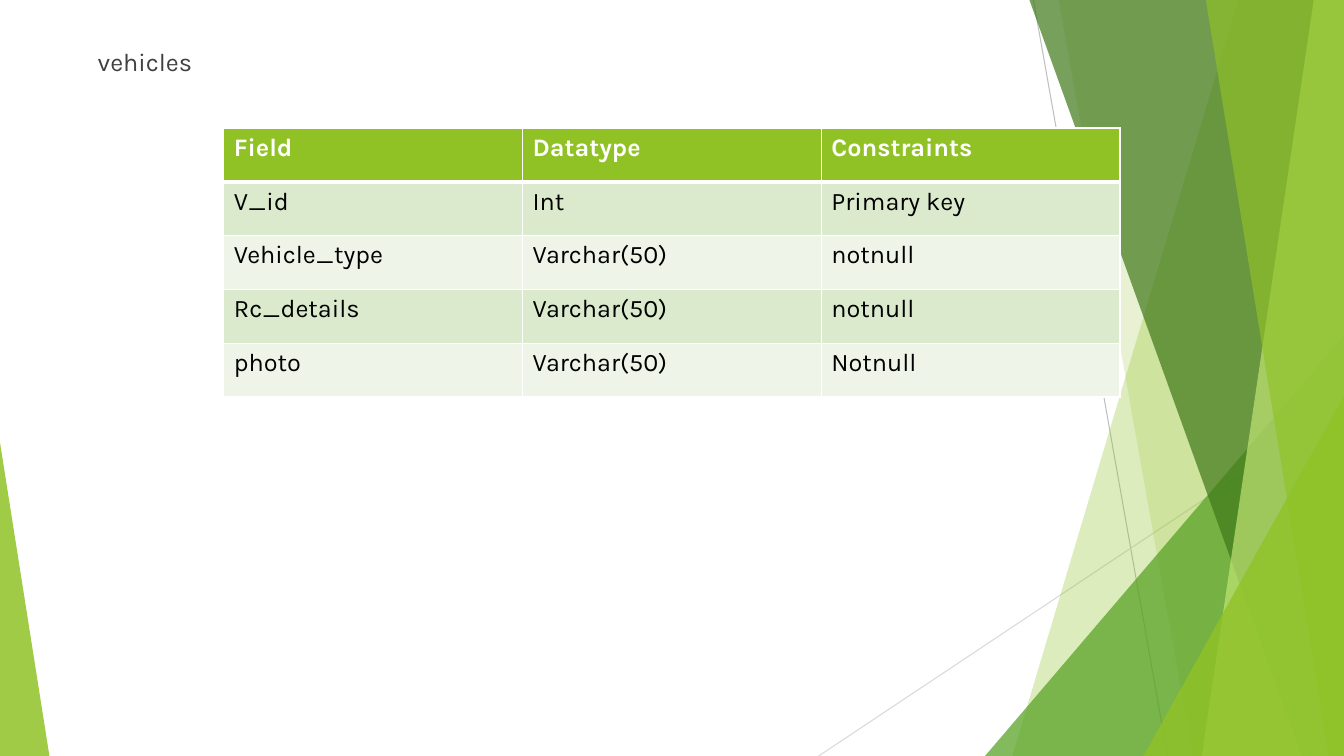
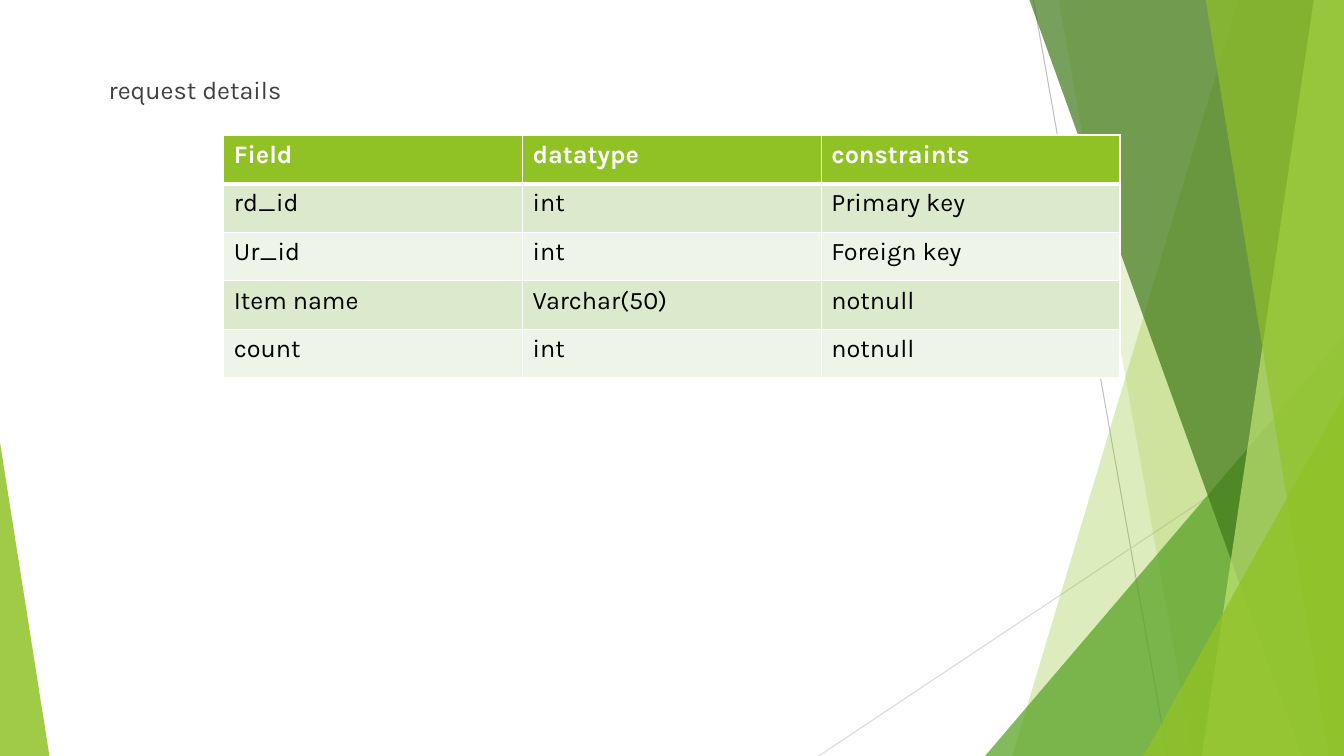
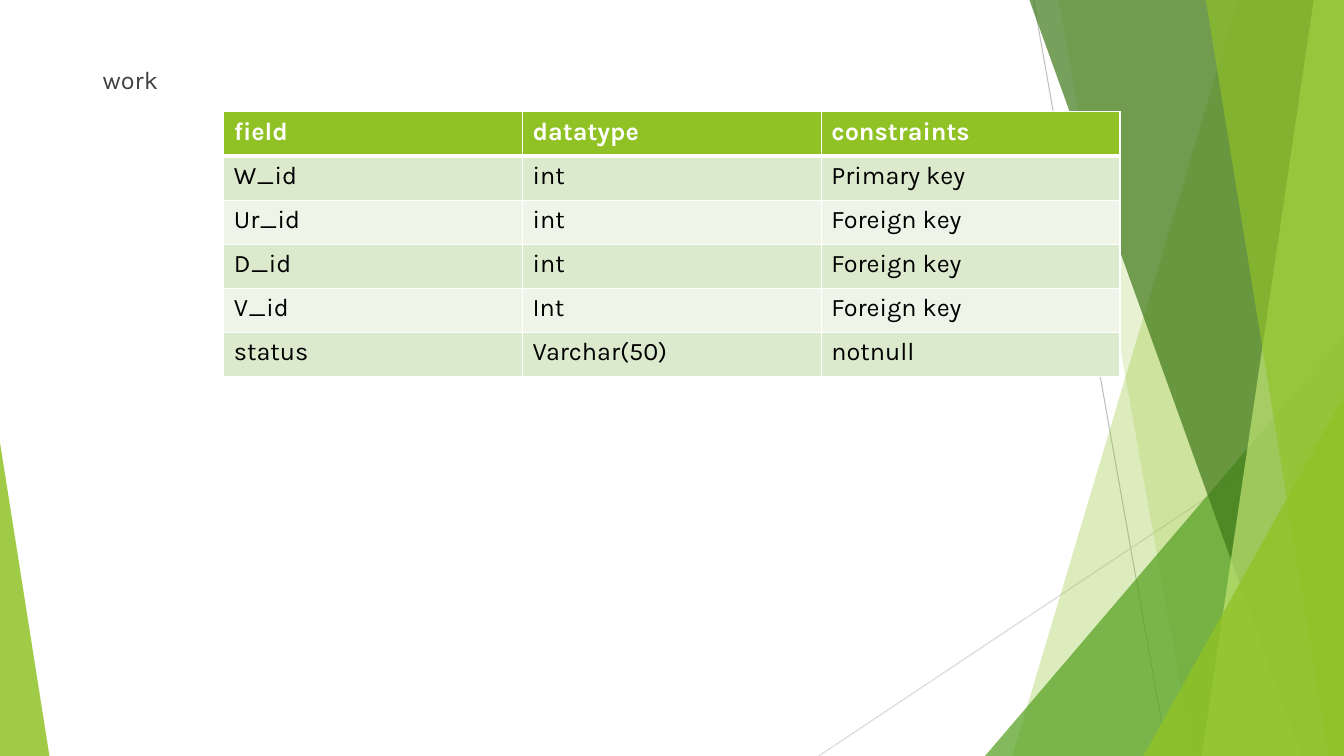
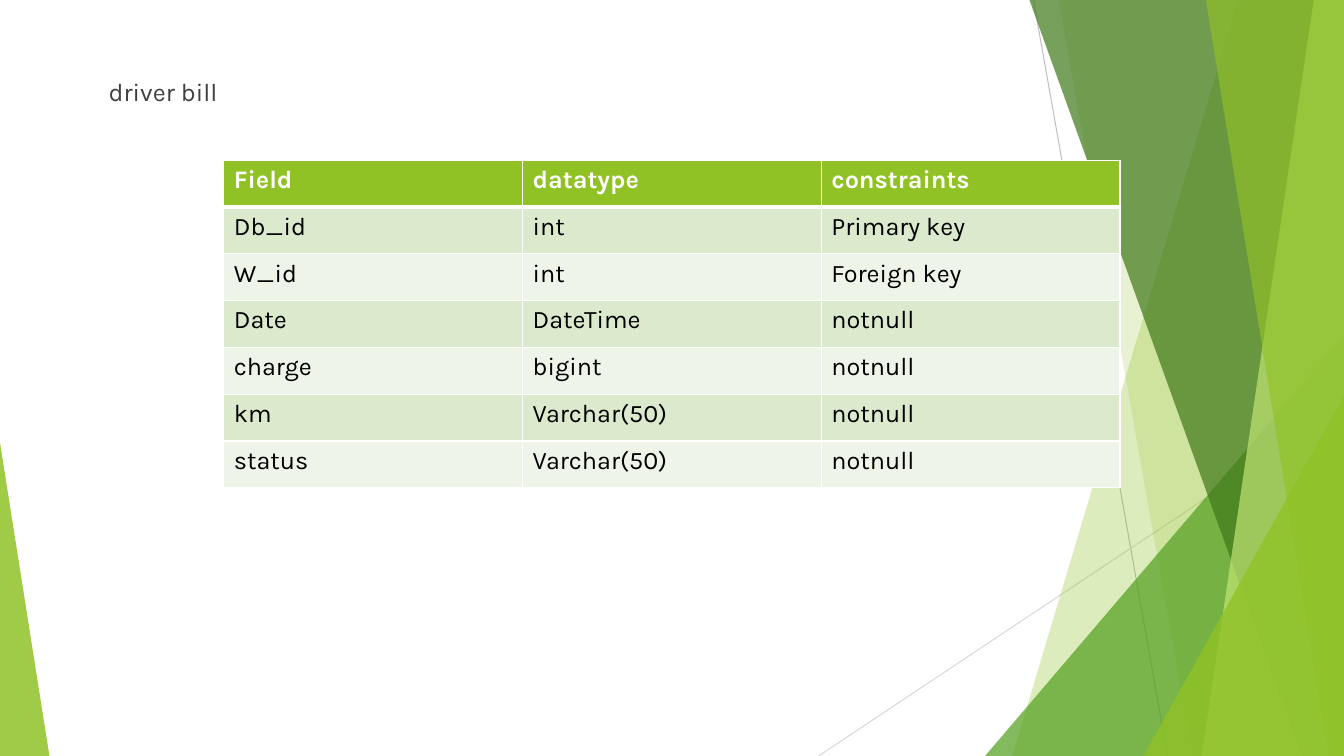
from lxml import etree
from pptx import Presentation
from pptx.dml.color import RGBColor
from pptx.enum.shapes import MSO_CONNECTOR, MSO_SHAPE
from pptx.oxml.ns import qn
from pptx.util import Inches, Pt

LINE = MSO_CONNECTOR.STRAIGHT
TRIANGLE = MSO_SHAPE.ISOSCELES_TRIANGLE
FONT = "Karla"
WIDE, HIGH = 13.33, 7.5
COLORS = {
    "lime": "90C226", "leaf": "54A021", "forest": "3F7819", "pale": "C0E474",
    "silver": "BFBFBF", "mist": "D9D9D9", "white": "FFFFFF", "ink": "404040",
    "black": "000000", "odd": "DBE9CD", "even": "EEF4E8",
}

RULES = [
    ((10.25, 0), (11.58, HIGH), "silver"),
    ((WIDE, 4.03), (8.12, HIGH), "mist"),
]
PANELS = [
    ("band", (12.28, 10.04), "lime", 30),
    ("band", (10.5, 11.83), "lime", 20),
    ("peak", (9.77, 3.33, 3.56, 1), "leaf", 72),
    ("band", (10.21, 12.91), "forest", 70),
    ("band", (13.03, 11.92), "pale", 70),
    ("band", (11.96, 13.18), "lime", 65),
    ("peak", (11.34, 3.93, 1.99, 1), "lime", 80),
    ("peak", (0, 4.39, 0.49, 0), "lime", 85),
]
SLIDES = [
    {"title": "vehicles", "at": (0.87, 0.41), "top": 1.27, "high": 2.67, "rows": [
        ("Field", "Datatype", "Constraints"),
        ("V_id", "Int", "Primary key"),
        ("Vehicle_type", "Varchar(50)", "notnull"),
        ("Rc_details", "Varchar(50)", "notnull"),
        ("photo", "Varchar(50)", "Notnull"),
    ]},
    {"title": "request details", "at": (0.98, 0.69), "top": 1.34, "high": 2.41, "rows": [
        ("Field", "datatype", "constraints"),
        ("rd_id", "int", "Primary key"),
        ("Ur_id", "int", "Foreign key"),
        ("Item name", "Varchar(50)", "notnull"),
        ("count", "int", "notnull"),
    ]},
    {"title": "work", "at": (0.92, 0.59), "top": 1.11, "high": 2.63, "rows": [
        ("field", "datatype", "constraints"),
        ("W_id", "int", "Primary key"),
        ("Ur_id", "int", "Foreign key"),
        ("D_id", "int", "Foreign key"),
        ("V_id", "Int", "Foreign key"),
        ("status", "Varchar(50)", "notnull"),
    ]},
    {"title": "driver bill", "at": (0.98, 0.71), "top": 1.59, "high": 3.25, "rows": [
        ("Field", "datatype", "constraints"),
        ("Db_id", "int", "Primary key"),
        ("W_id", "int", "Foreign key"),
        ("Date", "DateTime", "notnull"),
        ("charge", "bigint", "notnull"),
        ("km", "Varchar(50)", "notnull"),
        ("status", "Varchar(50)", "notnull"),
    ]},
]
TITLE_WIDE, TITLE_END = 11.5, 6.75
TABLE_LEFT, TABLE_WIDE = 2.22, 8.89


def rgb(name):
    return RGBColor.from_string(COLORS[name])


def write(frame, text, size=18, color="ink", bold=False):
    frame.word_wrap = True
    para = frame.paragraphs[0]
    para.text = text
    font = para.runs[0].font
    font.name, font.size, font.bold = FONT, Pt(size), bold
    font.color.rgb = rgb(color)


def add_rule(shapes, start, end, color):
    rule = shapes.add_connector(LINE, *map(Inches, start + end))
    rule.line.color.rgb = rgb(color)
    rule.line.width = Pt(0.75)
    etree.SubElement(rule.element.spPr, qn("a:effectLst"))
    return rule


def add_panel(shapes, kind, spec, color, alpha):
    if kind == "band":
        head, foot = spec
        path = shapes.build_freeform(Inches(head), 0)
        path.add_line_segments([(Inches(x), Inches(y)) for x, y in
                                ((WIDE, 0), (WIDE, HIGH), (foot, HIGH))])
        panel = path.convert_to_shape()
    else:
        left, top, wide, tip = spec
        panel = shapes.add_shape(TRIANGLE, *map(Inches, (left, top, wide, HIGH - top)))
        panel.adjustments[0] = tip
    panel.shadow.inherit = False
    panel.line.fill.background()
    panel.fill.solid()
    panel.fill.fore_color.rgb = rgb(color)
    tint = panel.element.spPr.find(qn("a:solidFill"))[0]
    etree.SubElement(tint, qn("a:alpha"), val=str(alpha * 1000))
    return panel


def add_backdrop(layout, shapes):
    for item in list(layout.placeholders):
        layout.shapes.element.remove(item.element)
    parts = [add_rule(shapes, *rule) for rule in RULES]
    parts += [add_panel(shapes, *panel) for panel in PANELS]
    for part in parts:
        layout.shapes.element.append(part.element)


def add_borders(cell, row):
    props = cell._tc.get_or_add_tcPr()
    widths = {"L": 1, "R": 1, "T": 3 if row == 1 else 1, "B": 3 if row == 0 else 1}
    for side, width in widths.items():
        edge = etree.SubElement(props, qn("a:ln" + side), w=str(Pt(width)))
        fill = etree.SubElement(edge, qn("a:solidFill"))
        etree.SubElement(fill, qn("a:srgbClr"), val=COLORS["white"])


def add_grid(shapes, rows, top, high):
    box = map(Inches, (TABLE_LEFT, top, TABLE_WIDE, high))
    table = shapes.add_table(len(rows), len(rows[0]), *box).table
    for r, row in enumerate(rows):
        fill = "lime" if r == 0 else "odd" if r % 2 else "even"
        for c, text in enumerate(row):
            cell = table.cell(r, c)
            add_borders(cell, r)
            cell.fill.solid()
            cell.fill.fore_color.rgb = rgb(fill)
            write(cell.text_frame, text, color="black" if r else "white", bold=r == 0)


def main():
    prs = Presentation()
    prs.slide_width, prs.slide_height = Inches(WIDE), Inches(HIGH)
    blank = prs.slide_layouts[6]
    for index, data in enumerate(SLIDES):
        shapes = prs.slides.add_slide(blank).shapes
        if index == 0:
            add_backdrop(blank, shapes)
        left, top = data["at"]
        title = shapes.add_textbox(*map(Inches, (left, top, TITLE_WIDE, TITLE_END - top)))
        write(title.text_frame, data["title"])
        add_grid(shapes, data["rows"], data["top"], data["high"])
    prs.save("out.pptx")


if __name__ == "__main__":
    main()
